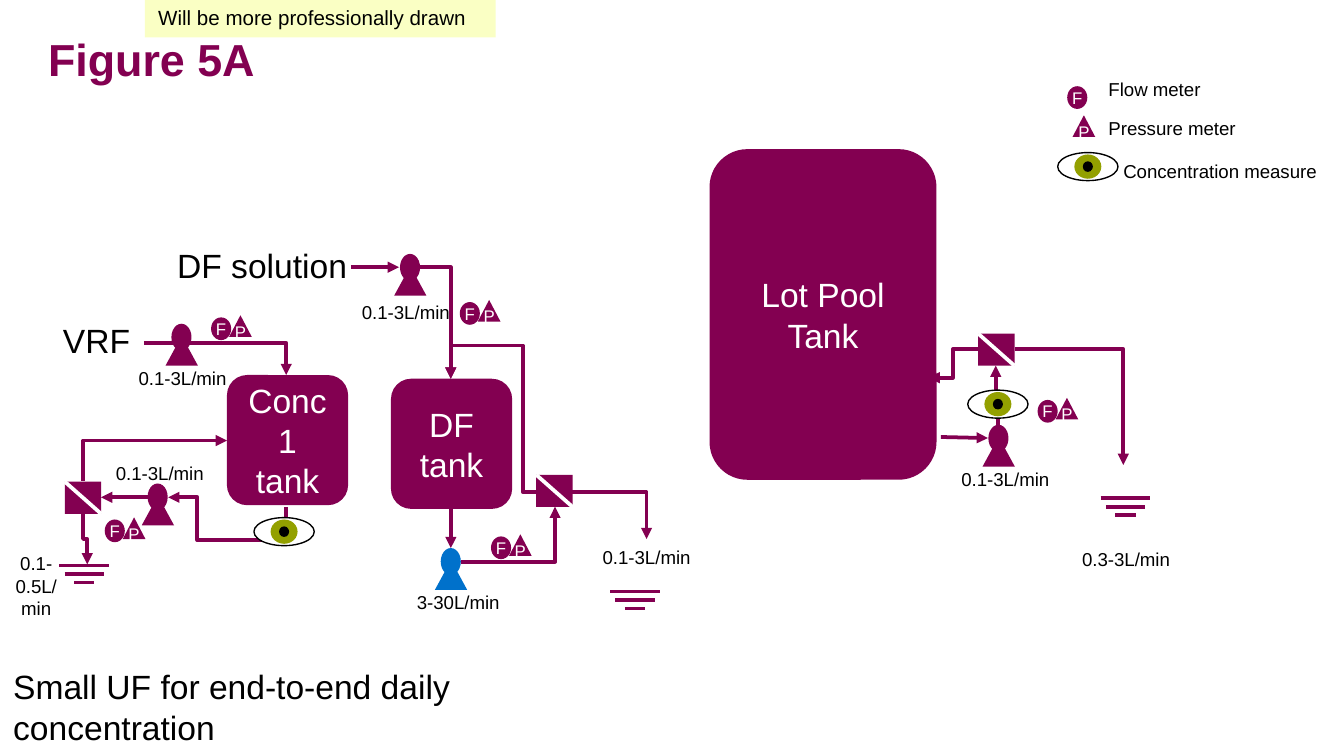
from dataclasses import dataclass
from typing import Any, NamedTuple

from lxml.etree import SubElement
from pptx import Presentation
from pptx.dml.color import RGBColor
from pptx.enum.shapes import MSO_CONNECTOR, MSO_SHAPE
from pptx.enum.text import MSO_ANCHOR, PP_ALIGN
from pptx.oxml.ns import qn
from pptx.util import Cm, Pt

OVAL, WEDGE = MSO_SHAPE.OVAL, MSO_SHAPE.ISOSCELES_TRIANGLE
RECT, ROUND = MSO_SHAPE.RECTANGLE, MSO_SHAPE.ROUNDED_RECTANGLE
LINE, ELBOW = MSO_CONNECTOR.STRAIGHT, MSO_CONNECTOR.ELBOW
LEFT, MID = PP_ALIGN.LEFT, PP_ALIGN.CENTER
TOP, CENTER = MSO_ANCHOR.TOP, MSO_ANCHOR.MIDDLE


@dataclass(frozen=True)
class Theme:
    font: str = "Arial"
    plum: str = "830051"
    blue: str = "0071CB"
    olive: str = "93A000"
    cream: str = "FAFFC4"
    black: str = "000000"
    white: str = "FFFFFF"
    title: int = 24
    large: int = 18
    note: int = 11
    small: int = 10
    tiny: int = 9
    pipe: float = 2
    rim: float = 0.75


THEME = Theme()


class Box(NamedTuple):
    """Left, top, width and height in centimetres."""
    x: float
    y: float
    w: float
    h: float


class Point(NamedTuple):
    x: float
    y: float


class Label(NamedTuple):
    text: str
    box: Box
    size: int = THEME.small
    align: Any = MID
    wrap: bool = False


class Pump(NamedTuple):
    """Top centre of the head, and the colour."""
    x: float
    y: float
    color: str = THEME.plum


TANKS = [("Conc 1 tank", Box(4.29, 7.09, 2.29, 2.46)),
         ("DF tank", Box(7.39, 7.16, 2.29, 2.46)),
         ("Lot Pool Tank", Box(13.41, 2.82, 4.29, 6.25))]

# Corner points of each pipe, in the direction of flow
PIPES = [
    [(1.57, 9.7), (1.57, 10.19), (1.65, 10.19), (1.65, 10.67)],
    [(10.13, 9.3), (9.88, 9.3), (9.88, 6.53), (8.52, 6.53), (8.52, 7.16)],
    [(7.92, 5.05), (8.52, 5.05), (8.52, 7.16)],
    [(6.63, 5.05), (7.54, 5.05)],
    [(17.78, 8.26), (18.67, 8.28)],
    [(18.49, 6.6), (18.01, 6.6), (18.01, 7.14), (17.55, 7.14)],
    [(2.72, 6.48), (5.41, 6.48), (5.41, 7.09)],
    [(10.82, 9.3), (12.22, 9.3), (12.22, 10.19)],
    [(18.87, 8.03), (18.87, 7.47), (18.82, 7.47), (18.82, 6.91)],
    [(19.18, 6.6), (21.23, 6.6), (21.23, 8.79)],
    [(2.79, 9.4), (1.91, 9.4)],
    [(1.57, 9.09), (1.57, 8.33), (4.29, 8.33)],
    [(5.41, 9.58), (5.41, 10.21), (3.73, 10.21), (3.73, 9.4), (3.18, 9.4)],
    [(8.52, 9.63), (8.52, 10.36)],
    [(8.71, 10.62), (10.49, 10.62), (10.49, 9.58)],
]

PUMPS = [Pump(2.98, 9.14), Pump(7.75, 4.8), Pump(8.52, 10.36, THEME.blue),
         Pump(18.87, 8.03), Pump(3.43, 6.12)]
SIEVES = [Point(1.57, 9.41), Point(10.48, 9.28), Point(18.83, 6.61)]
DRAINS = [Point(1.59, 10.69), Point(21.27, 9.42), Point(12, 11.18)]
EYES = [Point(18.86, 7.64), Point(5.37, 10.05), Point(20.56, 3.15)]
METERS = [Point(1.98, 9.82), Point(9.28, 10.14), Point(19.61, 7.56),
          Point(3.99, 6), Point(8.69, 5.71)]

RATES = [("0.1-3L/min", 2.36, 6.81), ("0.1-3L/min", 1.93, 8.61),
         ("0.1-3L/min", 11.13, 10.19), ("3-30L/min", 7.57, 11.05),
         ("0.1-3L/min", 17.91, 8.71), ("0.1-3L/min", 6.58, 5.56),
         ("0.3-3L/min", 20.19, 10.24)]
LABELS = [Label(text, Box(x, y, 2.18, 0.69)) for text, x, y in RATES] + [
    Label("0.1-0.5L/min", Box(-0.1, 10.31, 1.57, 1.96), wrap=True),
    Label("Small UF for end-to-end daily concentration",
          Box(0, 12.47, 11.81, 1.8), THEME.large, LEFT, True),
    Label("DF solution", Box(3.1, 4.5, 3.86, 1.02), THEME.large, LEFT, True),
    Label("VRF", Box(0.94, 5.92, 1.93, 1.02), THEME.large, LEFT, True),
    Label("Flow meter", Box(20.7, 1.35, 4.27, 0.69), align=LEFT, wrap=True),
    Label("Pressure meter", Box(20.7, 2.08, 5.11, 0.69), align=LEFT, wrap=True),
    Label("Concentration measure", Box(20.98, 2.9, 5.11, 0.69), align=LEFT, wrap=True),
]


def write(shape: Any, text: str, size: int, color: str, align: Any = MID,
          anchor: Any = CENTER, wrap: bool = True, bold: bool = False) -> None:
    frame = shape.text_frame
    frame.text, frame.word_wrap, frame.vertical_anchor = text, wrap, anchor
    para = frame.paragraphs[0]
    para.alignment = align
    font = para.font
    font.name, font.size, font.bold = THEME.font, Pt(size), bold
    font.color.rgb = RGBColor.from_string(color)


def draw_shape(shapes: Any, kind: Any, box: Box, fill: str, rim: str = "") -> Any:
    shape = shapes.add_shape(kind, *map(Cm, box))
    shape.shadow.inherit = False
    shape.fill.solid()
    shape.fill.fore_color.rgb = RGBColor.from_string(fill)
    if rim:
        shape.line.color.rgb = RGBColor.from_string(rim)
        shape.line.width = Pt(THEME.rim)
    else:
        shape.line.fill.background()
    return shape


def draw_line(shapes: Any, kind: Any, start: Point, end: Point, color: str) -> Any:
    line = shapes.add_connector(kind, *map(Cm, (*start, *end)))
    line.line.color.rgb = RGBColor.from_string(color)
    line.line.width = Pt(THEME.pipe)
    SubElement(line._element.spPr, qn("a:effectLst"))
    return line


def draw_pipe(shapes: Any, points: list[tuple[float, float]]) -> None:
    """Join the points with one arrow; its bends follow from the corners."""
    start, end = Point(*points[0]), Point(*points[-1])
    bent = len(points) > 2
    upright = bent and points[0][0] == points[1][0]
    head, tail = start, end
    if upright:  # laid out flat here, then turned a quarter about its middle
        mid = Point((start.x + end.x) / 2, (start.y + end.y) / 2)
        half = Point((end.y - start.y) / 2, (start.x - end.x) / 2)
        head = Point(mid.x - half.x, mid.y - half.y)
        tail = Point(mid.x + half.x, mid.y + half.y)
    line = draw_line(shapes, ELBOW if bent else LINE, head, tail, THEME.plum)
    props = line._element.spPr
    SubElement(props.find(qn("a:ln")), qn("a:tailEnd"), type="triangle")
    if upright:
        props.find(qn("a:xfrm")).set("rot", "5400000")
    if bent:
        geom = props.find(qn("a:prstGeom"))
        geom.set("prst", f"bentConnector{len(points) - 1}")
        guides = geom.find(qn("a:avLst"))
        for i in range(1, len(points) - 2):
            axis = (i + 1 + upright) % 2
            share = (points[i][axis] - start[axis]) / (end[axis] - start[axis])
            SubElement(guides, qn("a:gd"), name=f"adj{i}", fmla=f"val {round(share * 100000)}")


def draw_pump(shapes: Any, pump: Pump) -> None:
    draw_shape(shapes, OVAL, Box(pump.x - 0.19, pump.y, 0.38, 0.51), pump.color)
    draw_shape(shapes, WEDGE, Box(pump.x - 0.3, pump.y + 0.23, 0.61, 0.56), pump.color)


def draw_sieve(shapes: Any, mid: Point) -> None:
    """Filter: a block cut by a slanted line."""
    w, h = 0.69, 0.61
    box = Box(mid.x - w / 2, mid.y - h / 2, w, h)
    draw_shape(shapes, RECT, box, THEME.plum)
    draw_line(shapes, LINE, Point(box.x, box.y), Point(box.x + w, box.y + h), THEME.white)


def draw_drain(shapes: Any, top: Point) -> None:
    for row, w in enumerate((0.94, 0.74, 0.38)):
        y = top.y + row * 0.16
        draw_line(shapes, LINE, Point(top.x - w / 2, y), Point(top.x + w / 2, y), THEME.plum)


def draw_eye(shapes: Any, mid: Point) -> None:
    for w, h, fill, rim in ((1.14, 0.53, THEME.white, THEME.black),
                            (0.51, 0.46, THEME.olive, ""), (0.19, 0.2, THEME.black, "")):
        draw_shape(shapes, OVAL, Box(mid.x - w / 2, mid.y - h / 2, w, h), fill, rim)


def draw_badge(shapes: Any, kind: Any, box: Box, text: str) -> None:
    badge = draw_shape(shapes, kind, box, THEME.plum)
    frame = badge.text_frame
    frame.margin_left = frame.margin_right = frame.margin_top = frame.margin_bottom = 0
    write(badge, text, THEME.tiny, THEME.white, wrap=False)


def draw_meters(shapes: Any, at: Point, step: Point = Point(0.34, -0.04)) -> None:
    draw_badge(shapes, WEDGE, Box(at.x + step.x, at.y + step.y, 0.43, 0.41), "P")
    draw_badge(shapes, OVAL, Box(at.x, at.y, 0.38, 0.43), "F")


def main() -> None:
    deck = Presentation()
    deck.slide_width, deck.slide_height = Cm(25.4), Cm(14.29)
    shapes = deck.slides.add_slide(deck.slide_layouts[6]).shapes
    title = shapes.add_textbox(*map(Cm, Box(0.66, 0.41, 24.36, 1.4)))
    write(title, "Figure 5A", THEME.title, THEME.plum, LEFT, bold=True)
    for text, box in TANKS:
        write(draw_shape(shapes, ROUND, box, THEME.plum), text, THEME.large, THEME.white)
    for points in PIPES:
        draw_pipe(shapes, points)
    for draw, spots in ((draw_pump, PUMPS), (draw_sieve, SIEVES), (draw_drain, DRAINS),
                        (draw_eye, EYES), (draw_meters, METERS)):
        for spot in spots:
            draw(shapes.add_group_shape().shapes, spot)
    draw_meters(shapes, Point(20.17, 1.63), Point(0.1, 0.55))
    for text, box, size, align, wrap in LABELS:
        write(shapes.add_textbox(*map(Cm, box)), text, size, THEME.black, align, TOP, wrap)
    note = draw_shape(shapes, RECT, Box(2.74, -0.03, 6.63, 0.74), THEME.cream)
    write(note, "Will be more professionally drawn", THEME.note, THEME.black, LEFT, TOP)
    deck.save("out.pptx")


if __name__ == "__main__":
    main()
